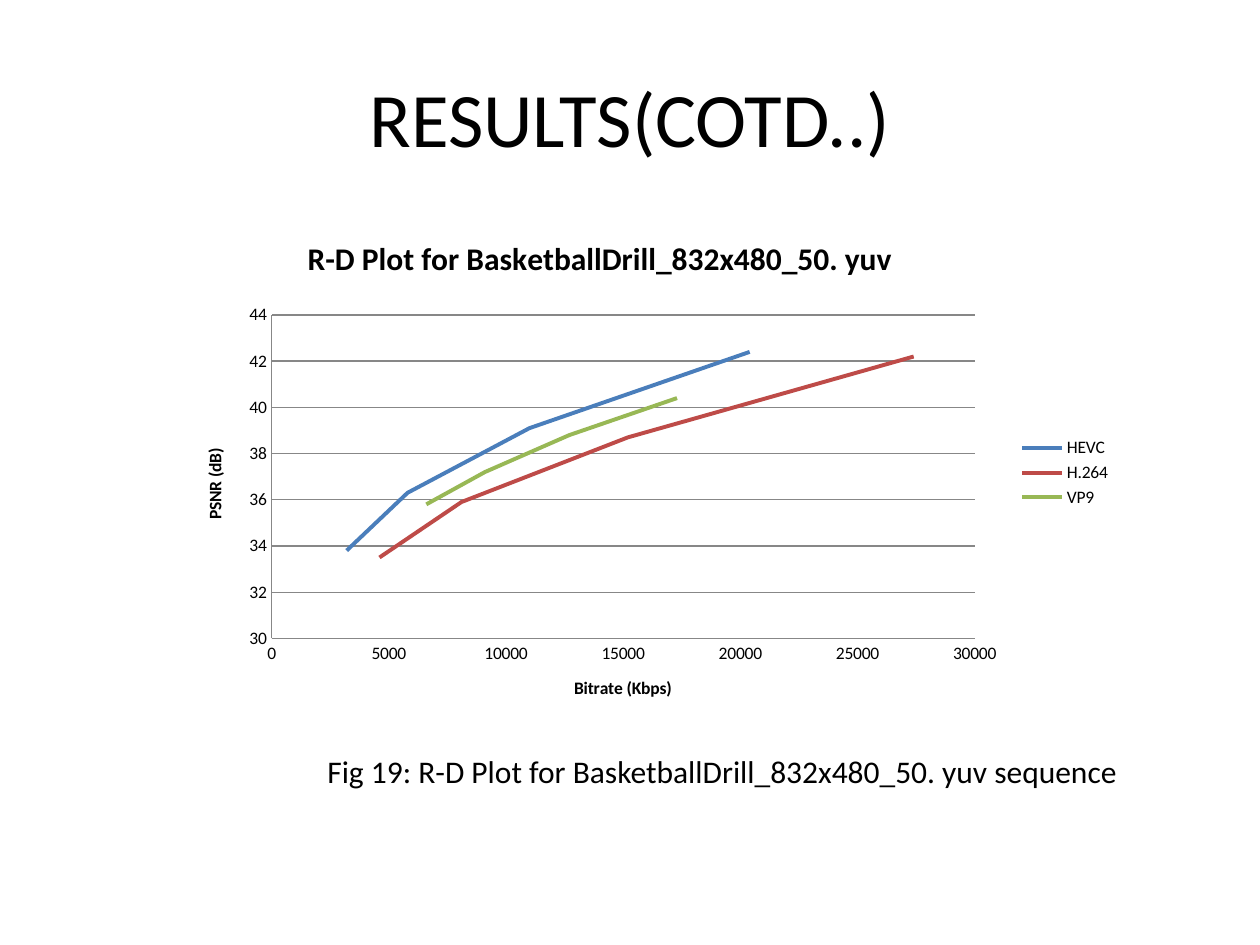
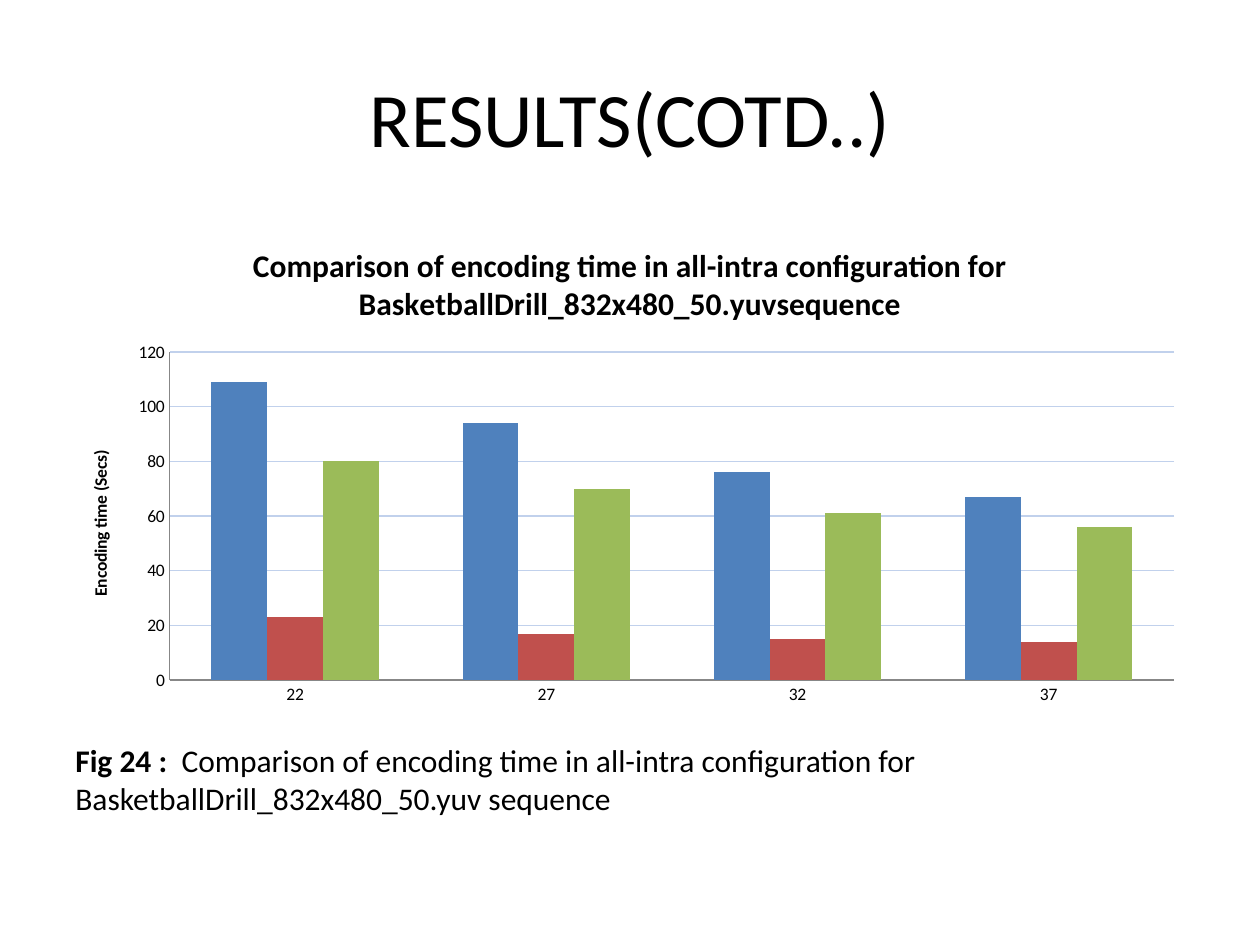
from lxml import etree
from pptx import Presentation
from pptx.chart.data import CategoryChartData, XyChartData
from pptx.dml.color import RGBColor
from pptx.enum.chart import XL_CHART_TYPE, XL_LEGEND_POSITION, XL_TICK_MARK
from pptx.enum.text import MSO_ANCHOR, PP_ALIGN
from pptx.oxml.ns import qn
from pptx.util import Cm, Pt

SMOOTH_SCATTER = XL_CHART_TYPE.XY_SCATTER_SMOOTH_NO_MARKERS
COLUMNS = XL_CHART_TYPE.COLUMN_CLUSTERED
LEGEND_RIGHT = XL_LEGEND_POSITION.RIGHT
NO_TICKS = XL_TICK_MARK.NONE
MIDDLE = MSO_ANCHOR.MIDDLE
TOP = MSO_ANCHOR.TOP
CENTER = PP_ALIGN.CENTER
LEFT = PP_ALIGN.LEFT

FONT = "Calibri"
BLACK = RGBColor(0x00, 0x00, 0x00)
AXIS_GRAY = RGBColor(0x87, 0x87, 0x87)
GRID_BLUE = RGBColor(0xC1, 0xD1, 0xEC)
CURVE_COLORS = (RGBColor(0x4A, 0x7E, 0xBB), RGBColor(0xBE, 0x4B, 0x48),
                RGBColor(0x98, 0xB8, 0x55))
BAR_COLORS = (RGBColor(0x4F, 0x81, 0xBD), RGBColor(0xC0, 0x50, 0x4D),
              RGBColor(0x9B, 0xBB, 0x59))

# Points of each curve: (bitrate in Kbps, PSNR in dB)
RATE_DISTORTION = {
    "HEVC": ((20400, 42.4), (11000, 39.1), (5800, 36.3), (3200, 33.8)),
    "H.264": ((27400, 42.2), (15200, 38.7), (8100, 35.9), (4600, 33.5)),
    "VP9": ((17300, 40.4), (12700, 38.8), (9100, 37.2), (6600, 35.8)),
}
QUANTIZERS = ("22", "27", "32", "37")
ENCODING_TIMES = {
    "Series 1": (109, 94, 76, 67),
    "Series 2": (23, 17, 15, 14),
    "Series 3": (80, 70, 61, 56),
}


def style_font(font, size, bold=False):
    font.name = FONT
    font.size = Pt(size)
    font.bold = bold
    font.color.rgb = BLACK


def add_text(slide, box, parts, size, align=LEFT, anchor=TOP):
    """Add one paragraph made of (text, bold) parts."""
    frame = slide.shapes.add_textbox(*box).text_frame
    frame.word_wrap = True
    frame.vertical_anchor = anchor
    paragraph = frame.paragraphs[0]
    paragraph.alignment = align
    for text, bold in parts:
        run = paragraph.add_run()
        run.text = text
        style_font(run.font, size, bold)


def add_results_slide(deck):
    slide = deck.slides.add_slide(deck.slide_layouts[6])
    title_box = (Cm(1.27), Cm(0.76), Cm(22.86), Cm(3.18))
    add_text(slide, title_box, [("RESULTS(COTD..)", False)], 44, CENTER, MIDDLE)
    return slide


def set_title(titled, text, size):
    """Title a chart or an axis."""
    titled.has_title = True
    frame = (titled.chart_title if hasattr(titled, "chart_title")
             else titled.axis_title).text_frame
    frame.text = text
    style_font(frame.paragraphs[0].runs[0].font, size, True)


def place(element, **fractions):
    """Fix a chart part's position as fractions of the chart area."""
    layout = element.find(qn("c:layout"))
    if layout is None:
        layout = etree.Element(qn("c:layout"))
        element.insert(0 if element.find(qn("c:tx")) is None else 1, layout)
    manual = etree.SubElement(layout, qn("c:manualLayout"))
    if "w" in fractions:
        etree.SubElement(manual, qn("c:layoutTarget")).set("val", "inner")
    for side in ("x", "y"):
        etree.SubElement(manual, qn(f"c:{side}Mode")).set("val", "edge")
    for key, fraction in fractions.items():
        etree.SubElement(manual, qn(f"c:{key}")).set("val", str(fraction))


def fill_plot_white(plot_area):
    properties = etree.SubElement(plot_area, qn("c:spPr"))
    fill = etree.SubElement(properties, qn("a:solidFill"))
    etree.SubElement(fill, qn("a:srgbClr")).set("val", "FFFFFF")


def style_axis(axis, low=None, high=None, step=None):
    axis.minimum_scale, axis.maximum_scale = low, high
    if step:
        axis.major_unit = step
    axis.major_tick_mark = axis.minor_tick_mark = NO_TICKS
    axis.has_major_gridlines = False
    style_font(axis.tick_labels.font, 10)
    axis.format.line.color.rgb = AXIS_GRAY
    axis.format.line.width = Pt(0.75)


def add_gridlines(axis, color):
    axis.has_major_gridlines = True
    line = axis.major_gridlines.format.line
    line.color.rgb = color
    line.width = Pt(0.75)


def add_titled_chart(slide, kind, box, data, title, plot_place):
    chart = slide.shapes.add_chart(kind, *box, data).chart
    style_font(chart.font, 10)
    set_title(chart, title, 18)
    chart.has_legend = False
    chart.plots[0].vary_by_categories = False
    plot_area = chart.plots[0]._element.getparent()
    place(plot_area, **plot_place)
    fill_plot_white(plot_area)
    return chart


def add_rate_distortion_chart(slide):
    data = XyChartData()
    for codec, points in RATE_DISTORTION.items():
        curve = data.add_series(codec)
        for bitrate, psnr in points:
            curve.add_data_point(bitrate, psnr)
    chart = add_titled_chart(
        slide, SMOOTH_SCATTER, (Cm(3.61), Cm(4.45), Cm(19.05), Cm(10.16)), data,
        "R-D Plot for BasketballDrill_832x480_50. yuv",
        dict(x=0.098, y=0.187, w=0.744, h=0.642))
    place(chart.chart_title._element, x=0.13, y=0.02)

    bitrate_axis, psnr_axis = chart.category_axis, chart.value_axis
    style_axis(bitrate_axis, 0, 30000, 5000)
    style_axis(psnr_axis, 30, 44, 2)
    add_gridlines(psnr_axis, AXIS_GRAY)
    set_title(bitrate_axis, "Bitrate (Kbps)", 10)
    set_title(psnr_axis, "PSNR (dB)", 10)

    for curve, color in zip(chart.plots[0].series, CURVE_COLORS):
        curve.smooth = True
        curve.format.line.color.rgb = color
        curve.format.line.width = Pt(2.25)

    chart.has_legend = True
    chart.legend.position = LEGEND_RIGHT
    chart.legend.include_in_layout = False
    style_font(chart.legend.font, 10)


def add_encoding_time_chart(slide):
    data = CategoryChartData()
    data.categories = QUANTIZERS
    for name, seconds in ENCODING_TIMES.items():
        data.add_series(name, seconds)
    chart = add_titled_chart(
        slide, COLUMNS, (Cm(1.27), Cm(4.45), Cm(22.86), Cm(9.96)), data,
        "Comparison of encoding time in all-intra configuration for "
        "BasketballDrill_832x480_50.yuvsequence",
        dict(x=0.094, y=0.266, w=0.886, h=0.664))

    style_axis(chart.category_axis)
    style_axis(chart.value_axis, 0, 120, 20)
    add_gridlines(chart.value_axis, GRID_BLUE)
    set_title(chart.value_axis, "Encoding time (Secs)", 10)

    columns = chart.plots[0]
    columns.gap_width = 150
    columns.overlap = 0
    for series, color in zip(columns.series, BAR_COLORS):
        series.format.fill.solid()
        series.format.fill.fore_color.rgb = color


def main():
    deck = Presentation()
    deck.slide_width, deck.slide_height = Cm(25.4), Cm(19.05)

    quality = add_results_slide(deck)
    add_rate_distortion_chart(quality)
    add_text(quality, (Cm(6.35), Cm(15.04), Cm(16.61), Cm(2.54)),
             [("Fig 19: R-D Plot for BasketballDrill_832x480_50. yuv sequence",
               False)], 18)

    speed = add_results_slide(deck)
    add_encoding_time_chart(speed)
    add_text(speed, (Cm(1.27), Cm(14.81), Cm(24.13), Cm(2.54)),
             [("Fig 24 : ", True),
              (" Comparison of encoding time in all-intra configuration for "
               "BasketballDrill_832x480_50.yuv sequence", False)], 18)

    deck.save("out.pptx")


if __name__ == "__main__":
    main()
